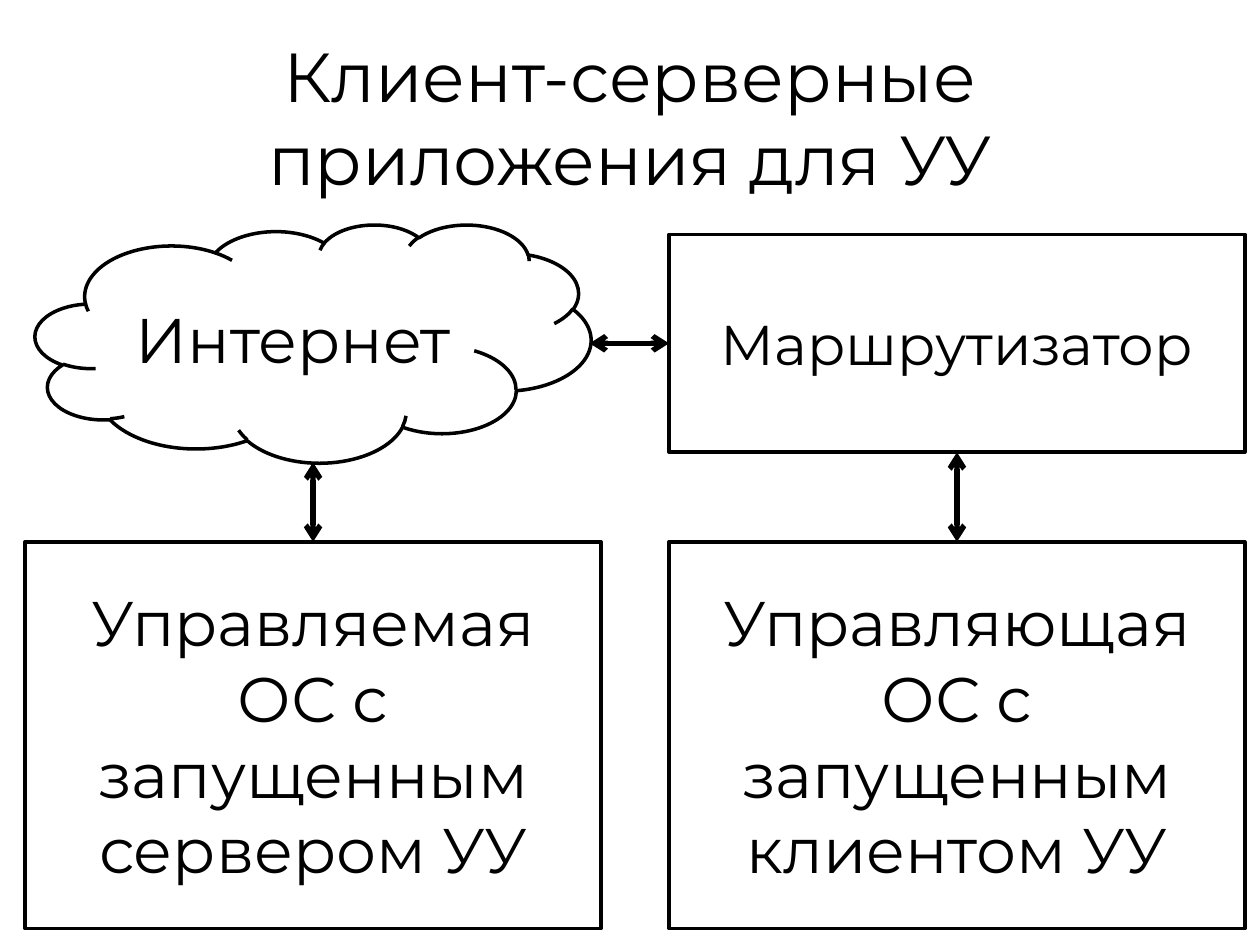
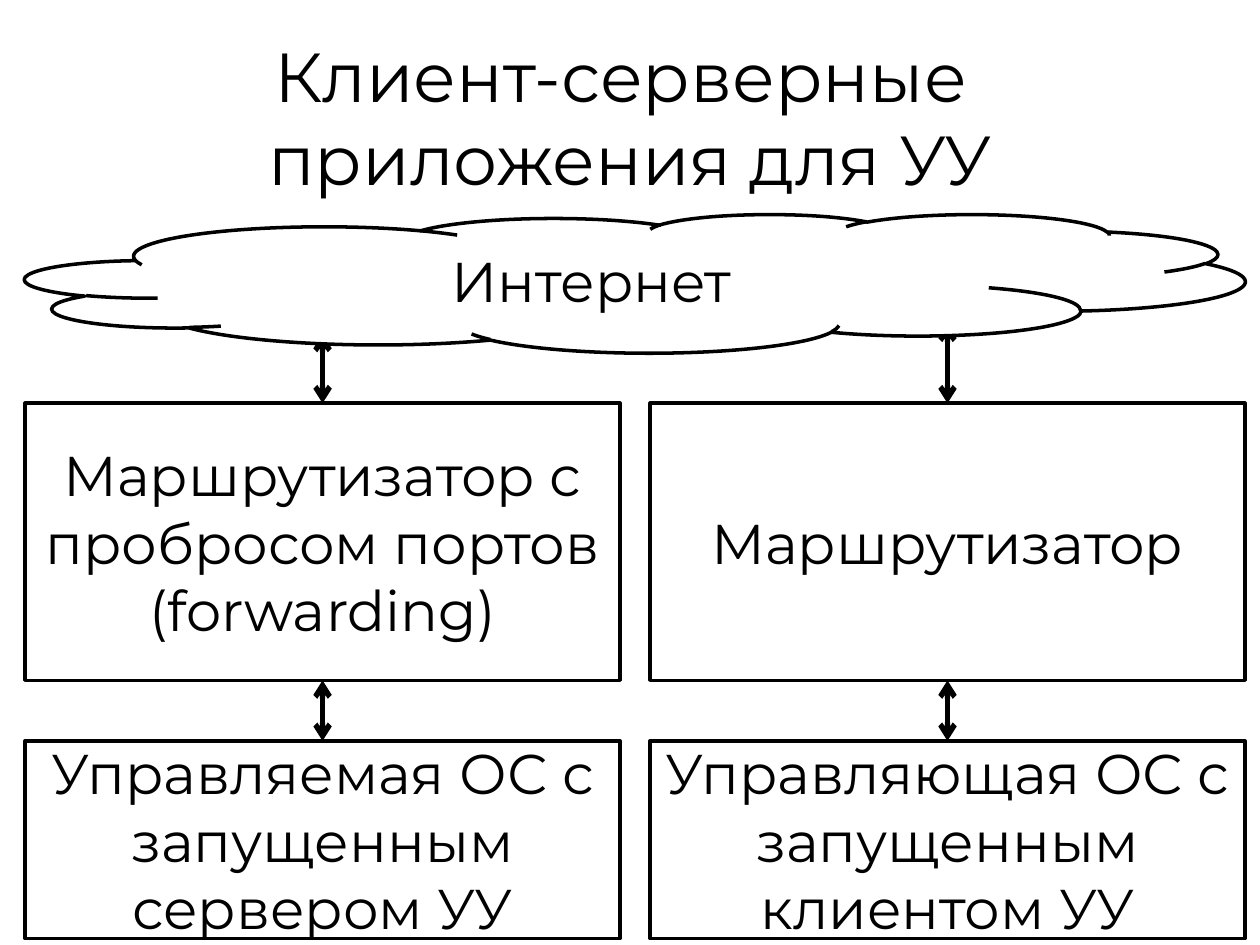
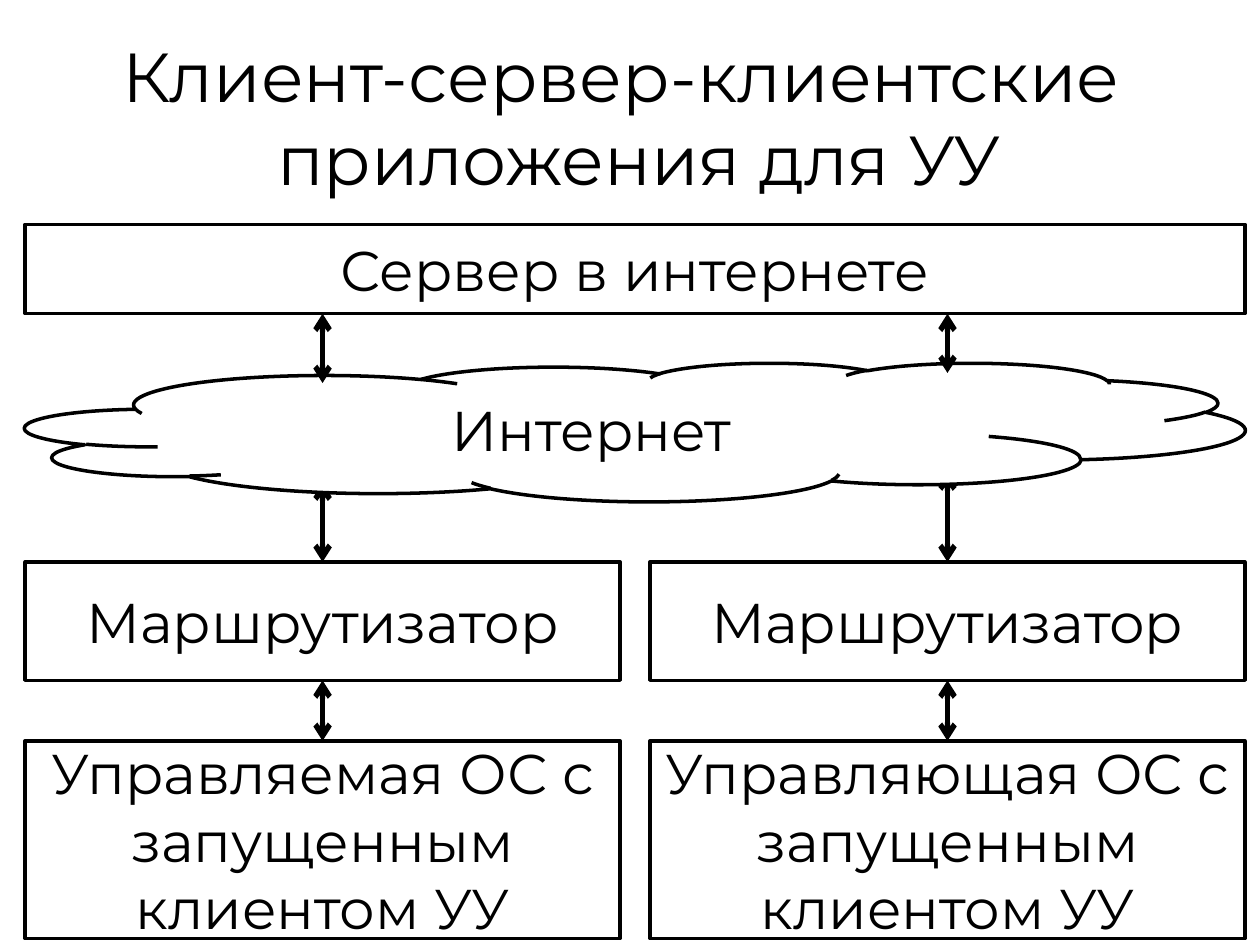
from dataclasses import dataclass

from lxml.etree import SubElement
from pptx import Presentation
from pptx.dml.color import RGBColor
from pptx.enum.shapes import MSO_CONNECTOR as Connector, MSO_SHAPE as Shape
from pptx.enum.text import MSO_ANCHOR as Anchor, MSO_AUTO_SIZE as AutoSize, PP_ALIGN as Align
from pptx.oxml.ns import qn
from pptx.util import Inches, Pt

FONT = "Montserrat"
BLACK = "000000"
WHITE = "FFFFFF"
TITLE_SIZE = 39.6
TITLE_ONLY = 5
TOP, LEFT, BOTTOM = 0, 1, 2


@dataclass
class Box:
    """A rectangle in inches."""
    left: float
    top: float
    width: float
    height: float

    def columns(self, gap):
        """Split the box into two equal columns."""
        width = (self.width - gap) / 2
        return [Box(self.left + index * (width + gap), self.top, width, self.height)
                for index in range(2)]

    def lengths(self):
        """Return the four lengths for placing a shape."""
        return [Inches(value) for value in (self.left, self.top, self.width, self.height)]


def colour(value):
    """Turn a hex string into a colour."""
    return RGBColor.from_string(value)


def band(top, height):
    """Return a full-width content band."""
    return Box(0.2, top, 9.68, height)


def write(frame, text, size=32, ink=BLACK, align=Align.CENTER):
    """Put one formatted paragraph into a text frame."""
    frame.word_wrap = True
    frame.auto_size = AutoSize.NONE
    frame.vertical_anchor = Anchor.MIDDLE
    para = frame.paragraphs[0]
    para.text = text
    para.alignment = align
    for span in para.runs:
        span.font.name = FONT
        span.font.size = Pt(size)
        span.font.color.rgb = colour(ink)


def style_titles(deck):
    """Set the title size shared by all slides on the master."""
    styles = deck.slide_master.element.find(".//" + qn("p:titleStyle"))
    styles.find(".//" + qn("a:defRPr")).set("sz", str(round(TITLE_SIZE * 100)))


def add_page(deck, title):
    """Add a slide with its title."""
    page = deck.slides.add_slide(deck.slide_layouts[TITLE_ONLY])
    heading = page.shapes.title
    heading.left, heading.top, heading.width, heading.height = Box(0.5, 0.3, 9, 1.25).lengths()
    write(heading.text_frame, title, size=TITLE_SIZE)
    return page


def add_node(page, box, text, kind=Shape.RECTANGLE, size=32):
    """Draw an outlined node with centred text."""
    node = page.shapes.add_shape(kind, *box.lengths())
    node.shadow.inherit = False
    node.fill.solid()
    node.fill.fore_color.rgb = colour(WHITE)
    node.line.color.rgb = colour(BLACK)
    node.line.width = Pt(2)
    write(node.text_frame, text, size=size)
    return node


def add_pair(page, box, texts, gap=0.24, size=32):
    """Draw two equal nodes side by side."""
    return [add_node(page, column, text, size=size)
            for column, text in zip(box.columns(gap), texts)]


def add_arrow(page, start, end):
    """Draw a double-headed arrow between two points."""
    arrow = page.shapes.add_connector(Connector.STRAIGHT, *start, *end)
    arrow.line.color.rgb = colour(BLACK)
    arrow.line.width = Pt(3)
    properties = arrow.element.spPr
    outline = properties.find(qn("a:ln"))
    for tip in ("a:headEnd", "a:tailEnd"):
        SubElement(outline, qn(tip), type="arrow")
    SubElement(properties, qn("a:effectLst"))
    return arrow


def rise(page, node, end_y, target=None):
    """Draw an arrow up from a node, joined to a target if one is given."""
    centre = node.left + node.width // 2
    arrow = add_arrow(page, (centre, node.top), (centre, Inches(end_y)))
    arrow.begin_connect(node, TOP)
    if target is not None:
        arrow.end_connect(target, BOTTOM)


def add_columns(page, systems, routers, router_box, cloud_top):
    """Draw systems, their routers and the cloud above them."""
    system_nodes = add_pair(page, band(5.88, 1.57), systems)
    router_nodes = add_pair(page, router_box, routers)
    for system, router in zip(system_nodes, router_nodes):
        rise(page, system, router_box.top + router_box.height, router)
    for router, depth in zip(router_nodes, (0.95, 0.87)):
        rise(page, router, cloud_top + depth)
    add_node(page, band(cloud_top, 1.1), "Интернет", Shape.CLOUD)
    return router_nodes


def build_direct(deck):
    """Show a server reached straight from the internet."""
    page = add_page(deck, "Клиент-серверные приложения для УУ")
    server, client = add_pair(
        page, band(4.3, 3.07),
        ("Управляемая ОС с запущенным сервером УУ", "Управляющая ОС с запущенным клиентом УУ"),
        gap=0.54, size=36)
    rise(page, server, 3.67)
    add_node(page, Box(0.28, 1.78, 4.41, 1.89), "Интернет", Shape.CLOUD, size=36)
    router_box = band(1.86, 1.73).columns(0.54)[1]
    router = add_node(page, router_box, "Маршрутизатор")
    rise(page, client, 3.59, router)
    middle = router.top + router.height // 2
    add_arrow(page, (router.left, middle), (Inches(4.68), middle)).begin_connect(router, LEFT)


def build_forwarding(deck):
    """Show a server behind a router with port forwarding."""
    page = add_page(deck, "Клиент-серверные \vприложения для УУ")
    add_columns(
        page,
        ("Управляемая ОС с запущенным сервером УУ", "Управляющая ОС с запущенным клиентом УУ"),
        ("Маршрутизатор с пробросом портов (forwarding)", "Маршрутизатор"),
        band(3.2, 2.2), cloud_top=1.7)


def build_relay(deck):
    """Show two clients linked by a server on the internet."""
    page = add_page(deck, "Клиент-сервер-клиентские \v приложения для УУ")
    server = add_node(page, band(1.78, 0.71), "Сервер в интернете")
    routers = add_columns(
        page,
        ("Управляемая ОС с запущенным клиентом УУ", "Управляющая ОС с запущенным клиентом УУ"),
        ("Маршрутизатор", "Маршрутизатор"),
        band(4.46, 0.94), cloud_top=2.88)
    for router, cloud_edge in zip(routers, (3.04, 2.96)):
        centre = router.left + router.width // 2
        add_arrow(page, (centre, Inches(cloud_edge)), (centre, server.top + server.height))


def main():
    """Build and save the deck."""
    deck = Presentation()
    deck.slide_width, deck.slide_height = Inches(10), Inches(7.5)
    style_titles(deck)
    for build in (build_direct, build_forwarding, build_relay):
        build(deck)
    deck.save("out.pptx")


if __name__ == "__main__":
    main()
